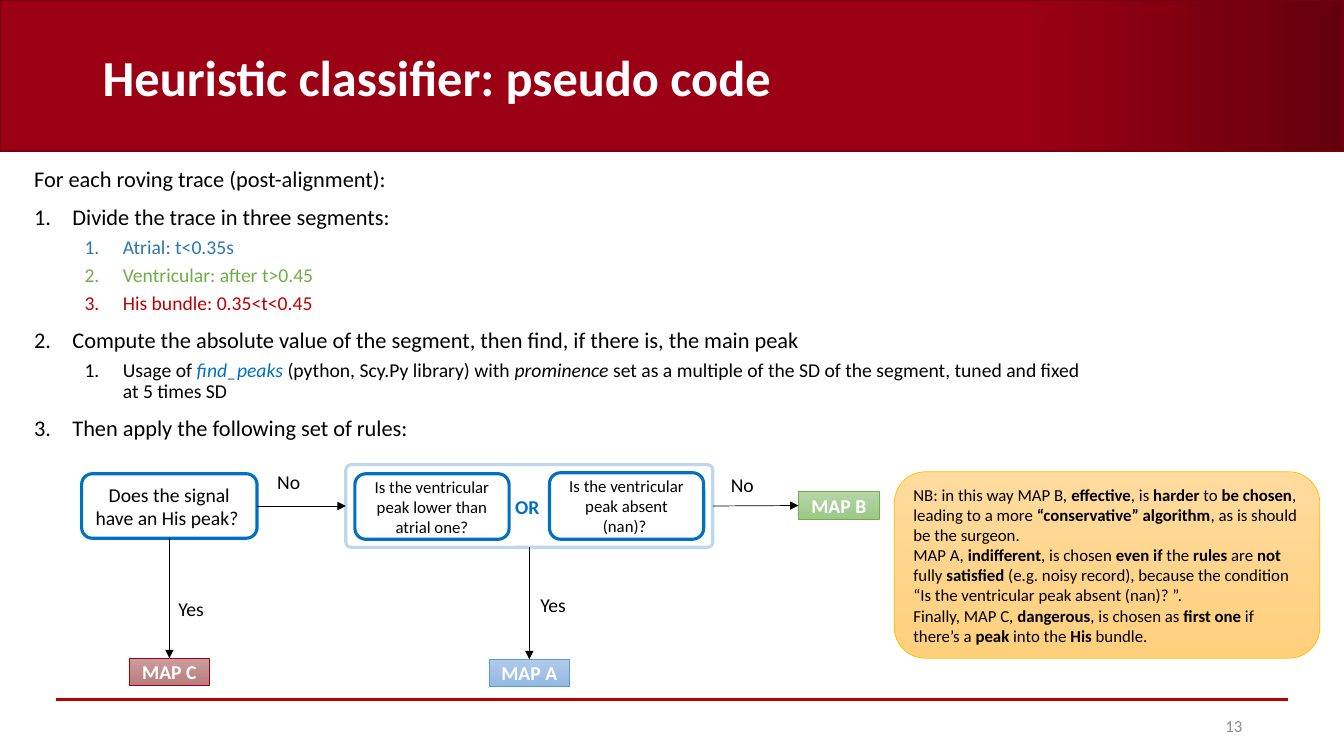
from pptx import Presentation
from pptx.dml.color import RGBColor
from pptx.enum.shapes import MSO_CONNECTOR, MSO_SHAPE
from pptx.enum.text import MSO_ANCHOR, PP_ALIGN
from pptx.oxml.ns import qn
from pptx.util import Inches, Pt
from lxml.etree import SubElement

HUES = {
    "white": "FFFFFF", "black": "000000", "grey": "8C8C8C",
    "red": "C00000", "blue": "0070C0", "pale": "BDD7EE",
    "atrial": "2E75B6", "green": "70AD47",
    "wine": "9B0014", "dark": "64000C", "edge": "73000F",
    "sky": "5B9BD5", "gold": "FFC000",
    "a1": "B1CBE9", "a2": "93B9E4", "b1": "B5D5A7", "b2": "9CC987",
    "c1": "CC9D9E", "c2": "B97C7D", "n1": "FFDB9E", "n2": "FFD07C",
}
TOP, LEFT, BOTTOM, RIGHT = range(4)


def hue(name):
    return RGBColor.from_string(HUES[name])


def marked(text):
    """Split text into runs, with the parts between asterisks in bold."""
    return [(part, {"bold": bool(i % 2)}) for i, part in enumerate(text.split("*"))]


class Board:
    def __init__(self, slide, face="Calibri"):
        self.slide, self.face = slide, face

    def add_runs(self, para, runs, size, color="black", **form):
        """Fill a paragraph with a string or a list of (text, format) runs."""
        if isinstance(runs, str):
            runs = [(runs, {})]
        for text, extra in runs:
            run = para.add_run()
            run.text = text
            look = {"name": self.face, "size": Pt(size), "color": color, **form, **extra}
            run.font.color.rgb = hue(look.pop("color"))
            for key, value in look.items():
                setattr(run.font, key, value)

    def text(self, box, runs, size, align=PP_ALIGN.LEFT, anchor=MSO_ANCHOR.TOP, **form):
        label = self.slide.shapes.add_textbox(*map(Inches, box))
        frame = label.text_frame
        frame.word_wrap = True
        frame.vertical_anchor = anchor
        frame.paragraphs[0].alignment = align
        self.add_runs(frame.paragraphs[0], runs, size, **form)
        return label

    def steps(self, box, intro, items):
        """Add an intro and a numbered list of (level, runs, color) items."""
        frame = self.text(box, intro, 16).text_frame
        frame.paragraphs[0].line_spacing = 0.9
        for level, runs, color in items:
            para = frame.add_paragraph()
            para.level = level
            props = para._p.get_or_add_pPr()
            props.set("marL", str(Inches(0.38 + level * 0.5)))
            props.set("indent", str(Inches(-0.38)))
            SubElement(props, qn("a:buFont"), typeface="+mj-lt")
            SubElement(props, qn("a:buAutoNum"), type="arabicPeriod")
            para.line_spacing = 0.9
            para.space_before = Pt(5 if level else 10)
            self.add_runs(para, runs, 14 if level else 16, color)

    def shape(self, kind, box, line, width, fill=None, angle=270, stops=(0, 1)):
        """Add a shape; fill is a pair of gradient colours or None."""
        item = self.slide.shapes.add_shape(kind, *map(Inches, box))
        item.shadow.inherit = False
        item.line.color.rgb = hue(line)
        item.line.width = Pt(width)
        if fill:
            item.fill.gradient()
            item.fill.gradient_angle = angle
            for stop, name, place in zip(item.fill.gradient_stops, fill, stops):
                stop.color.rgb = hue(name)
                stop.position = place
        else:
            item.fill.background()
        return item

    def fill_in(self, item, paras, size, align=PP_ALIGN.CENTER, **form):
        frame = item.text_frame
        frame.word_wrap = True
        frame.vertical_anchor = MSO_ANCHOR.MIDDLE
        for i, runs in enumerate(paras):
            para = frame.add_paragraph() if i else frame.paragraphs[0]
            para.alignment = align
            self.add_runs(para, runs, size, **form)

    def ask(self, box, text, size):
        item = self.shape(MSO_SHAPE.ROUNDED_RECTANGLE, box, "blue", 2.25)
        self.fill_in(item, [text], size)
        return item

    def result(self, name, left, top, line, fill):
        item = self.shape(MSO_SHAPE.RECTANGLE, (left, top, 0.8, 0.27), line, 0.5, fill)
        self.fill_in(item, [name], 14, color="white", bold=True)
        return item

    def rule(self, start, end, color, width):
        line = self.slide.shapes.add_connector(
            MSO_CONNECTOR.STRAIGHT, *map(Inches, (*start, *end)))
        line.line.color.rgb = hue(color)
        line.line.width = Pt(width)
        SubElement(line._element.spPr, qn("a:effectLst"))
        return line

    def arrow(self, source, out, target, into):
        line = self.rule((0, 0), (1, 1), "black", 0.5)
        line.begin_connect(source, out)
        line.end_connect(target, into)
        SubElement(line.line._get_or_add_ln(), qn("a:tailEnd"), type="triangle")


def main():
    deck = Presentation()
    deck.slide_width, deck.slide_height = Inches(13.33), Inches(7.5)
    board = Board(deck.slides.add_slide(deck.slide_layouts[6]))

    board.shape(MSO_SHAPE.RECTANGLE, (0, 0, 13.33, 1.5), "edge", 1,
                ("wine", "dark"), angle=0, stops=(0.76, 1))
    board.rule((0.56, 6.94), (12.77, 6.94), "red", 1.5)
    board.text((0.92, 0.23, 10.83, 1.06), "Heuristic classifier: pseudo code", 36,
               anchor=MSO_ANCHOR.MIDDLE, color="white", bold=True)
    board.text((9.42, 7, 3, 0.4), "13", 12, PP_ALIGN.RIGHT, MSO_ANCHOR.MIDDLE,
               color="grey")

    usage = [
        ("Usage of ", {}),
        ("find_peaks ", {"color": "blue", "italic": True}),
        ("(python, Scy.Py library) with ", {}),
        ("prominence", {"italic": True}),
        (" set as a multiple of the SD of the segment, tuned and fixed at 5 times SD", {}),
    ]
    board.steps((0.24, 1.62, 10.66, 4.51), "For each roving trace (post-alignment):", [
        (0, "Divide the trace in three segments:", "black"),
        (1, "Atrial: t<0.35s", "atrial"),
        (1, "Ventricular: after t>0.45", "green"),
        (1, "His bundle: 0.35<t<0.45", "red"),
        (0, "Compute the absolute value of the segment, then find, if there is, "
            "the main peak", "black"),
        (1, usage, "black"),
        (0, "Then apply the following set of rules:", "black"),
    ])

    his = board.ask((0.81, 4.7, 1.74, 0.64), "Does the signal have an His peak? ", 14)
    either = board.shape(MSO_SHAPE.ROUNDED_RECTANGLE, (3.43, 4.61, 3.64, 0.82),
                         "pale", 2.25)
    either.adjustments[0] = 0.064
    board.ask((3.52, 4.7, 1.53, 0.65), "Is the ventricular peak lower than atrial one?", 12)
    board.ask((5.45, 4.69, 1.53, 0.66), "Is the ventricular peak absent (nan)? ", 12)
    board.text((5.01, 4.86, 0.5, 0.34), "OR", 14, color="blue", bold=True)

    map_c = board.result("MAP C", 1.28, 6.53, "wine", ("c1", "c2"))
    map_a = board.result("MAP A", 4.85, 6.54, "sky", ("a1", "a2"))
    map_b = board.result("MAP B", 7.92, 4.88, "green", ("b1", "b2"))
    board.arrow(his, BOTTOM, map_c, TOP)
    board.arrow(his, RIGHT, either, LEFT)
    board.arrow(either, RIGHT, map_b, LEFT)
    board.arrow(either, BOTTOM, map_a, TOP)
    for word, left, top in (("No", 2.65, 4.61), ("No", 7.15, 4.64),
                            ("Yes", 5.26, 5.83), ("Yes", 1.67, 5.87)):
        board.text((left, top, 0.55, 0.34), word, 14)

    note = board.shape(MSO_SHAPE.ROUNDED_RECTANGLE, (8.87, 4.68, 4.22, 1.85),
                       "gold", 0.5, ("n1", "n2"))
    board.fill_in(note, map(marked, (
        "NB: in this way MAP B, *effective*, is *harder* to *be chosen*, leading to "
        "a more *“conservative” algorithm*, as is should be the surgeon.",
        "MAP A, *indifferent*, is chosen *even if* the *rules* are *not* fully "
        "*satisfied* (e.g. noisy record), because the condition “Is the ventricular "
        "peak absent (nan)? ”.",
        "Finally, MAP C, *dangerous*, is chosen as *first one* if there’s a *peak* "
        "into the *His* bundle.",
    )), 12, PP_ALIGN.LEFT)

    deck.save("out.pptx")


if __name__ == "__main__":
    main()
